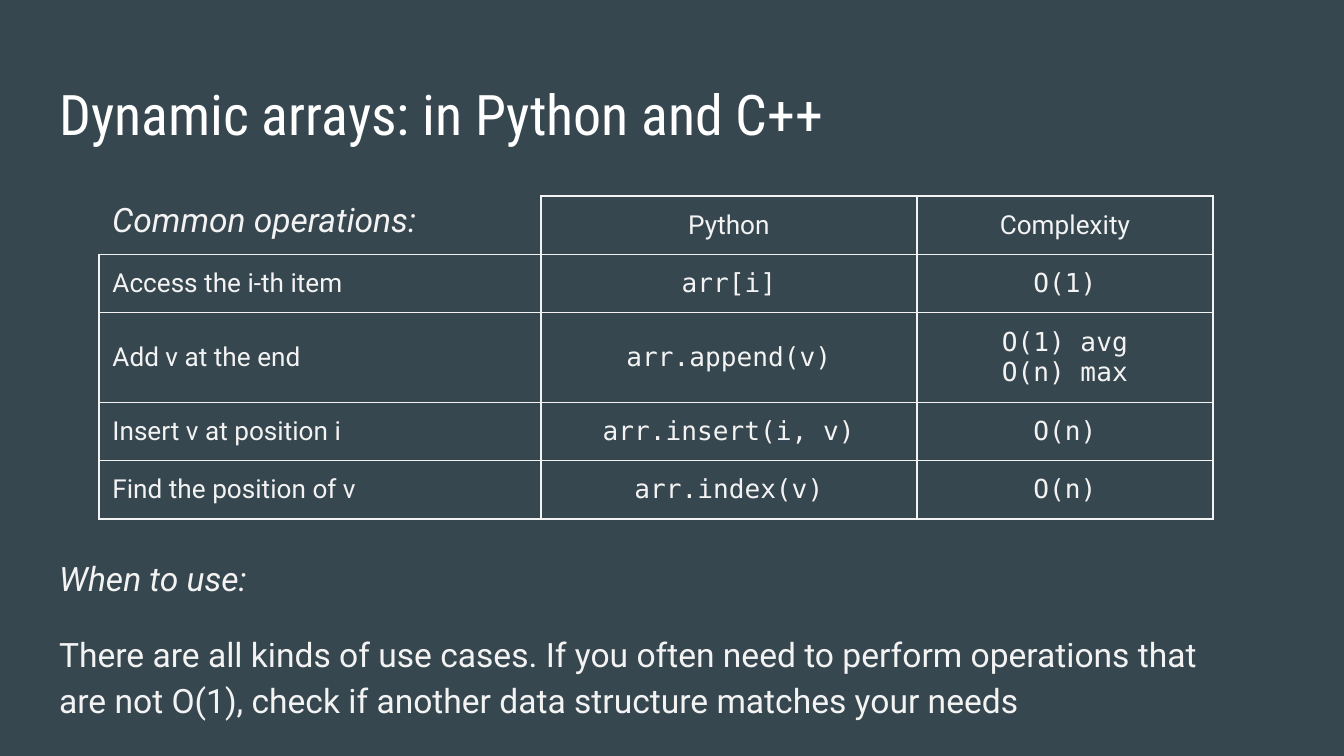
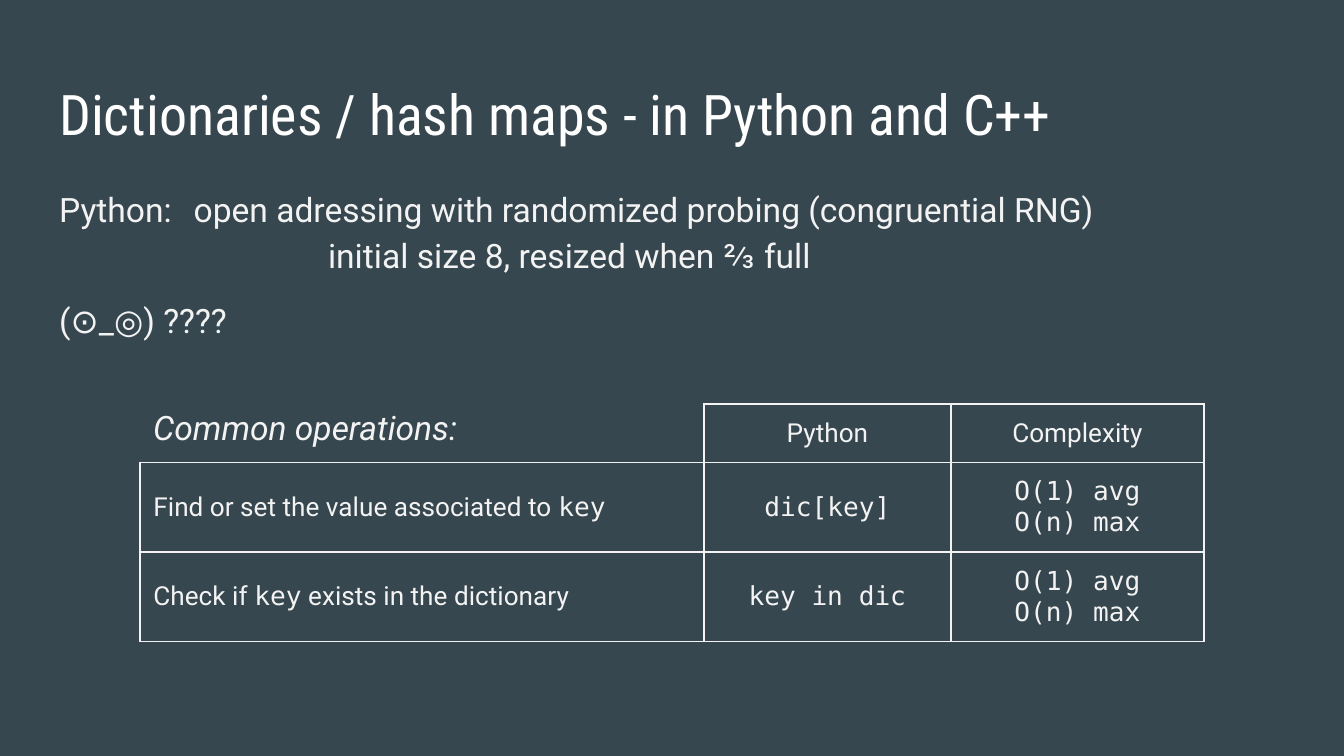
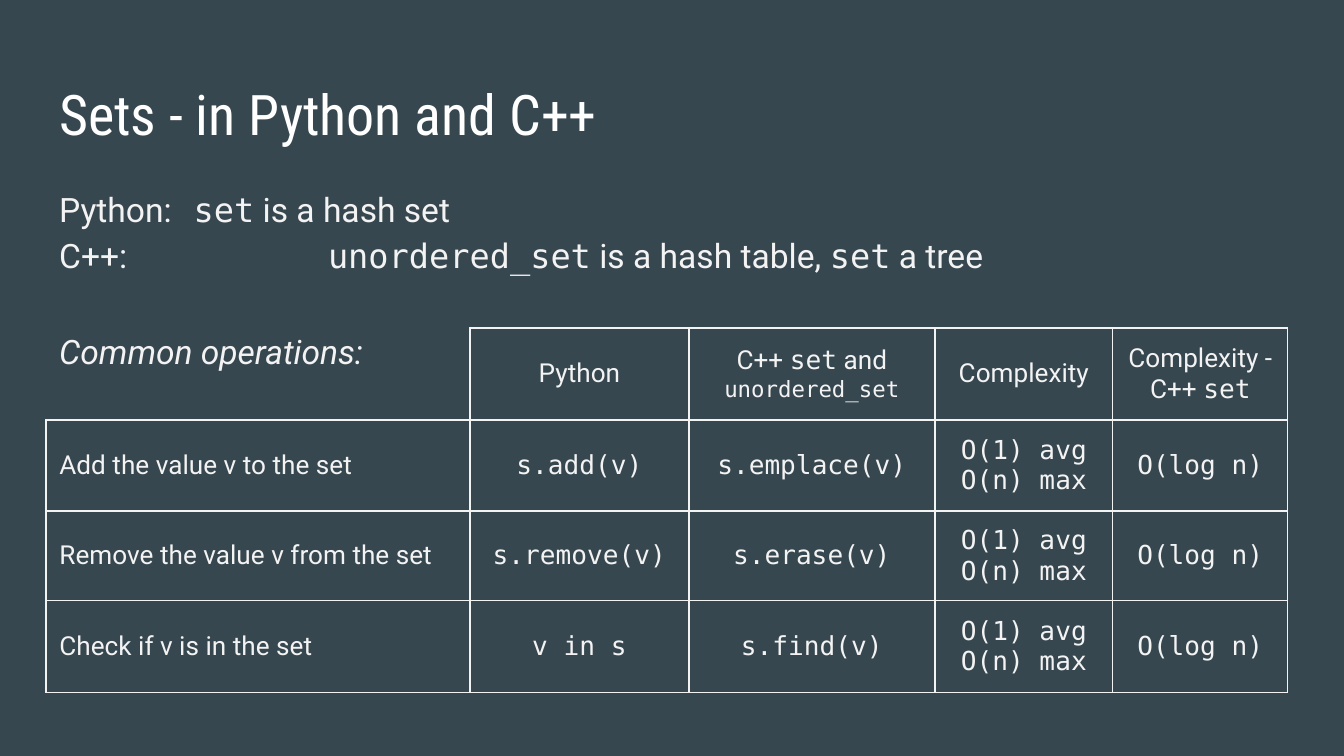
import lxml.etree
import pptx
import pptx.dml.color
import pptx.enum.text
import pptx.oxml.ns
import pptx.util

COLORS = {"background": "37474F", "title": "FFFFFF", "body": "F3F3F3"}
FONTS = {"title": "Roboto Condensed", "body": "Roboto", "code": "DejaVu Sans Mono"}
SIZES = {"title": 30, "body": 18, "table": 14, "small": 12}
PX = 914400 / 134.4
SLIDE_WIDTH, SLIDE_HEIGHT = 1344, 756
TITLE_BOX = (46, 66, 1252, 85)
LABEL_WIDTH, LABEL_HEIGHT, LABEL_RISE = 371, 77, 17
INSET = 91440
TAB_STEP = 914400
LEFT = pptx.enum.text.PP_ALIGN.LEFT
CENTER = pptx.enum.text.PP_ALIGN.CENTER
JUSTIFY = pptx.enum.text.PP_ALIGN.JUSTIFY

# Backticks enclose code, and a leading caret makes that code small.
AVERAGE = "`O(1) avg`\n`O(n) max`"
LOG = "`O(log n)`"

SLIDES = [
    {
        "title": "Dynamic arrays: in Python and C++",
        "body_box": (46, 538, 1199, 195),
        "body": [
            {"text": "When to use:", "italic": True},
            {"text": "There are all kinds of use cases. If you often need to perform "
                     "operations that are not O(1), check if another data structure "
                     "matches your needs", "before": 16, "after": 16},
        ],
        "table_corner": (99, 196),
        "columns": [442, 376, 296],
        "rows": [58, 58, 88, 58, 58],
        "operations": [
            ("", "Python", "Complexity"),
            ("Access the i-th item", "`arr[i]`", "`O(1)`"),
            ("Add v at the end", "`arr.append(v)`", AVERAGE),
            ("Insert v at position i", "`arr.insert(i, v)`", "`O(n)`"),
            ("Find the position of v", "`arr.index(v)`", "`O(n)`"),
        ],
    },
    {
        "title": "Dictionaries / hash maps - in Python and C++",
        "body_box": (46, 169, 1252, 235),
        "body": [
            {"text": "Python:\topen adressing with randomized probing (congruential RNG)"},
            {"text": "\t\tinitial size 8, resized when ⅔ full", "align": JUSTIFY},
            {"text": "(⊙_◎) ????", "before": 10},
        ],
        "table_corner": (140, 404),
        "columns": [564, 247, 253],
        "rows": [58, 88, 88],
        "operations": [
            ("", "Python", "Complexity"),
            ("Find or set the value associated to `key`", "`dic[key]`", AVERAGE),
            ("Check if `key` exists in the dictionary", "`key in dic`", AVERAGE),
        ],
    },
    {
        "title": "Sets - in Python and C++",
        "body_box": (46, 169, 1252, 133),
        "body": [
            {"text": "Python:\t`set` is a hash set"},
            {"text": "C++:\t\t`unordered_set` is a hash table, `set` a tree"},
        ],
        "table_corner": (46, 328),
        "columns": [424, 219, 246, 178, 175],
        "rows": [92, 91, 88, 92],
        "operations": [
            ("", "Python", "C++ `set` and `^unordered_set`", "Complexity", "Complexity - C++ `set`"),
            ("Add the value v to the set", "`s.add(v)`", "`s.emplace(v)`", AVERAGE, LOG),
            ("Remove the value v from the set", "`s.remove(v)`", "`s.erase(v)`", AVERAGE, LOG),
            ("Check if v is in the set", "`v in s`", "`s.find(v)`", AVERAGE, LOG),
        ],
    },
]


def emu(px):
    return pptx.util.Emu(round(px * PX))


def add_element(parent, tag, **attributes):
    return lxml.etree.SubElement(parent, pptx.oxml.ns.qn(tag), attributes)


def write_words(paragraph, text, role, size, italic=False):
    for order, words in enumerate(text.split("`")):
        if not words:
            continue
        run = paragraph.add_run()
        run.text = words.removeprefix("^")
        run.font.name = FONTS["code" if order % 2 else role]
        run.font.size = pptx.util.Pt(SIZES["small"] if words.startswith("^") else size)
        run.font.italic = italic
        run.font.color.rgb = pptx.dml.color.RGBColor.from_string(COLORS[role])


def add_text(slide, box, paragraphs, role="body"):
    frame = slide.shapes.add_textbox(*map(emu, box)).text_frame
    frame.word_wrap = True
    frame.margin_left = frame.margin_right = INSET
    frame.margin_top = frame.margin_bottom = INSET
    for order, content in enumerate(paragraphs):
        paragraph = frame.add_paragraph() if order else frame.paragraphs[0]
        paragraph.alignment = content.get("align", LEFT)
        paragraph.line_spacing = 1.0 if role == "title" else 1.15
        paragraph.space_before = pptx.util.Pt(content.get("before", 0))
        paragraph.space_after = pptx.util.Pt(content.get("after", 0))
        if "\t" in content["text"]:
            stops = add_element(paragraph._p.get_or_add_pPr(), "a:tabLst")
            for step in (1, 2):
                add_element(stops, "a:tab", pos=str(step * TAB_STEP), algn="l")
        write_words(paragraph, content["text"], role, SIZES[role], content.get("italic", False))


def draw_borders(cell, visible_sides):
    properties = cell._tc.get_or_add_tcPr()
    for side in "LRTB":
        border = add_element(properties, f"a:ln{side}", w=str(pptx.util.Pt(0.75)))
        if side in visible_sides:
            fill = add_element(border, "a:solidFill")
            add_element(fill, "a:srgbClr", val=COLORS["body"])
        else:
            add_element(border, "a:noFill")


def fill_cell(cell, text, align):
    draw_borders(cell, "LRTB" if text else "RB")
    cell.fill.background()
    cell.vertical_anchor = pptx.enum.text.MSO_ANCHOR.MIDDLE
    cell.margin_left = cell.margin_right = INSET
    cell.margin_top = cell.margin_bottom = INSET
    for order, line in enumerate(text.split("\n")):
        frame = cell.text_frame
        paragraph = frame.add_paragraph() if order else frame.paragraphs[0]
        paragraph.alignment = align
        write_words(paragraph, line, "body", SIZES["table"])
        if not line:
            add_element(paragraph._p, "a:endParaRPr", sz=str(SIZES["table"] * 100))


def add_operations(slide, corner, columns, rows, operations):
    left, top = corner
    extent = (left, top, sum(columns), sum(rows))
    table = slide.shapes.add_table(len(rows), len(columns), *map(emu, extent)).table
    table.first_row = table.horz_banding = False
    for column, width in zip(table.columns, columns):
        column.width = emu(width)
    for row, height, texts in zip(table.rows, rows, operations):
        row.height = emu(height)
        for order, (cell, text) in enumerate(zip(row.cells, texts)):
            fill_cell(cell, text, CENTER if order else LEFT)
    label_box = (left, top - LABEL_RISE, LABEL_WIDTH, LABEL_HEIGHT)
    add_text(slide, label_box, [{"text": "Common operations:", "italic": True}])


def main():
    deck = pptx.Presentation()
    deck.slide_width, deck.slide_height = emu(SLIDE_WIDTH), emu(SLIDE_HEIGHT)
    for content in SLIDES:
        slide = deck.slides.add_slide(deck.slide_layouts[6])
        background = slide.background.fill
        background.solid()
        background.fore_color.rgb = pptx.dml.color.RGBColor.from_string(COLORS["background"])
        add_text(slide, TITLE_BOX, [{"text": content["title"]}], "title")
        add_text(slide, content["body_box"], content["body"])
        add_operations(slide, content["table_corner"], content["columns"],
                       content["rows"], content["operations"])
    deck.save("out.pptx")


if __name__ == "__main__":
    main()
